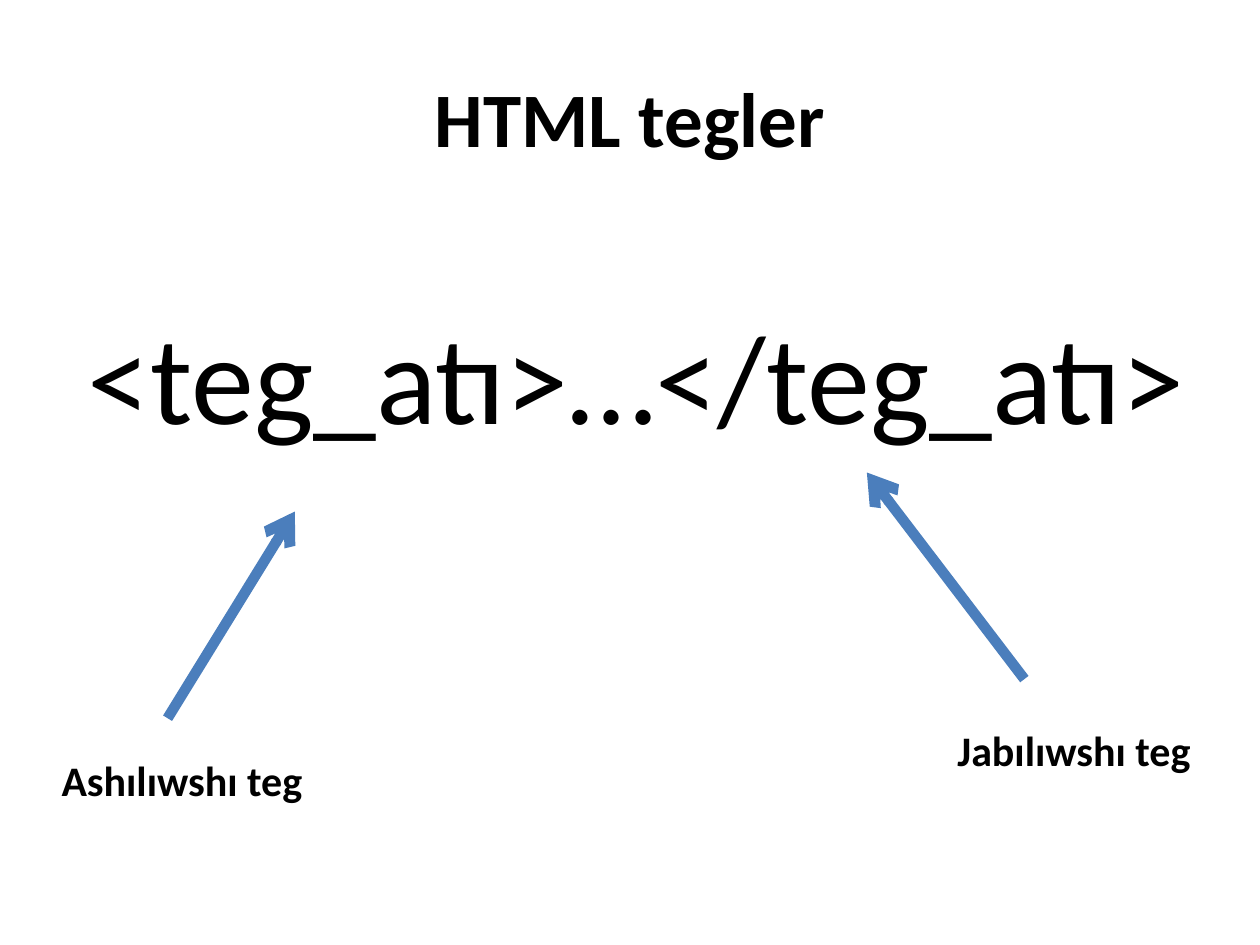
from dataclasses import dataclass

from lxml.etree import SubElement
from pptx import Presentation
from pptx.dml.color import RGBColor
from pptx.enum.shapes import MSO_CONNECTOR
from pptx.enum.text import MSO_ANCHOR, MSO_AUTO_SIZE, PP_ALIGN
from pptx.oxml.ns import qn
from pptx.util import Inches, Pt


@dataclass(frozen=True)
class Theme:
    font: str = "Calibri"
    ink: RGBColor = RGBColor(0x00, 0x00, 0x00)
    blue: RGBColor = RGBColor(0x4B, 0x7E, 0xBC)
    head: int = 44
    code: int = 72
    note: int = 24
    line: int = 6


THEME = Theme()


def write(shape, text, size, bold, align, anchor):
    """Fill a shape with one styled paragraph."""
    frame = shape.text_frame
    frame.text = text
    frame.vertical_anchor = anchor
    para = frame.paragraphs[0]
    para.alignment = align
    font = para.runs[0].font
    font.name, font.size, font.bold = THEME.font, Pt(size), bold
    font.color.rgb = THEME.ink


def add_title(slide, box, text):
    title = slide.shapes.title
    title.left, title.top, title.width, title.height = map(Inches, box)
    write(title, text, THEME.head, True, PP_ALIGN.CENTER, MSO_ANCHOR.MIDDLE)


def add_code(slide, box, text):
    code = slide.shapes.add_textbox(*map(Inches, box))
    code.text_frame.word_wrap = True
    write(code, text, THEME.code, False, PP_ALIGN.CENTER, MSO_ANCHOR.MIDDLE)


def add_arrow(slide, start, end):
    arrow = slide.shapes.add_connector(
        MSO_CONNECTOR.STRAIGHT, *map(Inches, start + end))
    arrow.line.color.rgb = THEME.blue
    arrow.line.width = Pt(THEME.line)
    # Arrowhead at the end, no shadow
    SubElement(arrow.line._get_or_add_ln(), qn("a:tailEnd"), type="arrow")
    SubElement(arrow._element.spPr, qn("a:effectLst"))


def add_note(slide, box, text, shift, rise):
    """Place a label, and an arrow that leaves from above it."""
    left, top, width, height = box
    note = slide.shapes.add_textbox(*map(Inches, box))
    note.text_frame.word_wrap = False
    note.text_frame.auto_size = MSO_AUTO_SIZE.SHAPE_TO_FIT_TEXT
    write(note, text, THEME.note, True, PP_ALIGN.LEFT, MSO_ANCHOR.TOP)
    start = (left + shift, top - rise[0])
    end = (start[0] + rise[1], start[1] - 1.64)
    add_arrow(slide, start, end)


def main():
    deck = Presentation()
    deck.slide_width, deck.slide_height = Inches(10), Inches(7.5)
    slide = deck.slides.add_slide(deck.slide_layouts[5])

    # Heading and tag pattern
    add_title(slide, (0.5, 0.3, 9, 1.25), "HTML tegler")
    add_code(slide, (0.55, 2.34, 9, 1.25), "<teg_atı>…</teg_atı>")

    # Opening and closing tag labels
    add_note(slide, (0.39, 5.94, 2.13, 0.5), "Ashılıwshı teg",
             0.94, (0.24, 1.01))
    add_note(slide, (7.5, 5.7, 2.07, 0.5), "Jabılıwshı teg",
             0.63, (0.31, -1.25))

    deck.save("out.pptx")


if __name__ == "__main__":
    main()
